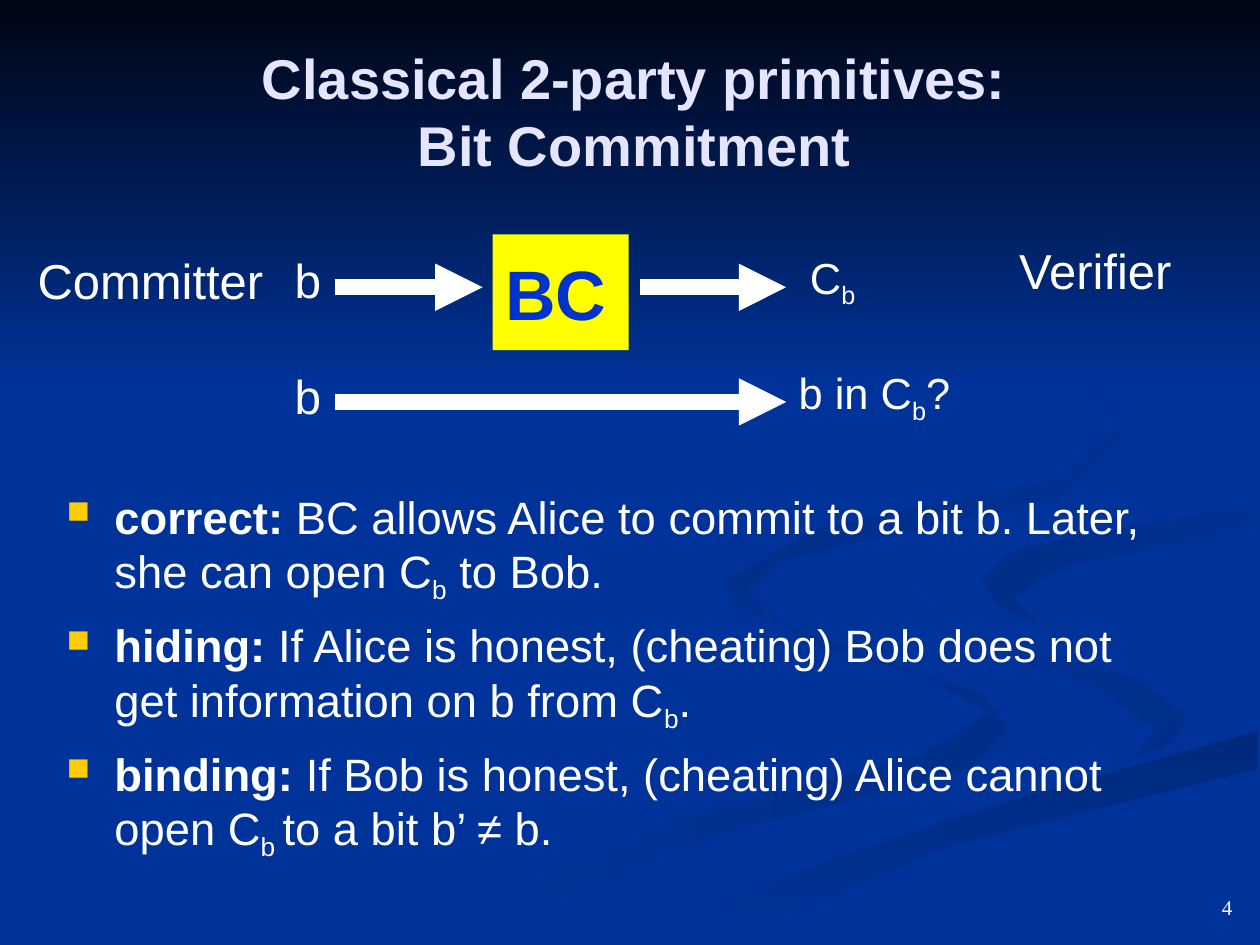
from lxml import etree
from pptx import Presentation
from pptx.dml.color import RGBColor
from pptx.enum.shapes import MSO_CONNECTOR as Connector, MSO_SHAPE as Shape
from pptx.enum.text import MSO_ANCHOR as Anchor, PP_ALIGN as Align
from pptx.oxml.ns import qn
from pptx.util import Inches, Pt

WHITE, BLUE, YELLOW = "FFFFFF", "003399", "FFFF00"

# Each swirl: start colour, end colour, clockwise angle, outline in inches
SWIRLS = [
    ("002E8A", BLUE, 180, [
        (7.8, 5.5), (6.4, 5.1), (5.75, 4.6), (5.8, 4.8), (7.3, 5.35),
        (7.85, 5.65), (7.3, 6), (5.4, 6.5), (3, 7.49), (3.6, 7.49),
        (5.6, 6.65), (7.7, 6.1), (8, 5.8)]),
    ("002E8A", BLUE, 225, [
        (9.43, 5.7), (9.05, 5.4), (7.6, 5), (7.24, 4.64), (7.45, 5),
        (8.7, 5.45), (9.18, 5.8), (8.94, 6.05), (9.3, 5.9)]),
    ("00297C", BLUE, 90, [
        (5.03, 7.49), (5.7, 7.49), (7.5, 6.72), (9.98, 6.1), (9.98, 5.8),
        (7.65, 6.47), (6.3, 6.93)]),
    (BLUE, "002C85", 225, [
        (7.8, 4.6), (7.9, 4.8), (8.26, 4.96), (8.05, 4.75), (8.4, 4.5),
        (9.98, 4.2), (9.98, 4), (8.5, 4.27), (8, 4.4)]),
    (BLUE, "002B81", 225, [
        (6.8, 4.3), (8.4, 3.96), (8.94, 3.44), (8.5, 2.8), (7.6, 2.33),
        (8.6, 2.9), (8.89, 3.35), (8.4, 3.8), (6.5, 4.2), (5.77, 4.6),
        (6.2, 5), (5.93, 4.7), (6.2, 4.45)]),
]

# Text pieces are (text, style); style is "", "bold" or "sub"
PROPERTIES = [
    [("correct:", "bold"),
     (" BC allows Alice to commit to a bit b. Later, she can open C", ""),
     ("b", "sub"), (" to Bob.", "")],
    [("hiding:", "bold"),
     (" If Alice is honest, (cheating) Bob does not get information on b from C", ""),
     ("b", "sub"), (".", "")],
    [("binding:", "bold"),
     (" If Bob is honest, (cheating) Alice cannot open C", ""),
     ("b ", "sub"), ("to a bit b’ ≠ b.", "")],
]
LABELS = [
    ((0.2, 1.94, 2.05, 0.86), 28, [("Committer", "")]),
    ((7.99, 1.86, 1.81, 0.63), 28, [("Verifier", "")]),
    ((2.24, 1.94, 0.42, 0.58), 27.2, [("b", "")]),
    ((2.24, 2.86, 0.42, 0.58), 27.2, [("b", "")]),
    ((6.33, 1.94, 0.75, 0.58), 24.8, [("C", ""), ("b", "sub")]),
    ((6.24, 2.86, 1.92, 0.58), 24.8, [("b in C", ""), ("b", "sub"), ("?", "")]),
]
ARROWS = [(2.66, 3.83, 2.28), (5.08, 6.24, 2.28), (2.66, 6.24, 3.19)]


def rgb(value):
    return RGBColor.from_string(value)


def shade(shape, start, end, angle):
    """Fill a shape with a gradient at a clockwise angle, without line or shadow."""
    shape.shadow.inherit = False
    shape.line.fill.background()
    shape.fill.gradient()
    shape.fill.gradient_angle = 360 - angle
    for stop, color in zip(shape.fill.gradient_stops, (start, end)):
        stop.color.rgb = rgb(color)


def add_swirl(page, start, end, angle, points):
    corners = [(Inches(x), Inches(y)) for x, y in points]
    builder = page.shapes.build_freeform(*corners[0])
    builder.add_line_segments(corners[1:], close=True)
    shade(builder.convert_to_shape(), start, end, angle)


def add_rectangle(page, place):
    return page.shapes.add_shape(Shape.RECTANGLE, *map(Inches, place))


def add_bullet(para):
    props = para._p.get_or_add_pPr()
    props.set("marL", str(Inches(0.38)))
    props.set("indent", str(-Inches(0.38)))
    color = etree.SubElement(props, qn("a:buClr"))
    etree.SubElement(color, qn("a:srgbClr"), val="FFCC00")
    etree.SubElement(props, qn("a:buSzPct"), val="70000")
    etree.SubElement(props, qn("a:buChar"), char="■")


def write_spans(para, pieces, size, color=WHITE, font="Arial"):
    for text, style in pieces:
        if text == "\n":
            para.add_line_break()
            continue
        span = para.add_run()
        span.text = text
        formats = {"name": font, "size": Pt(size), "bold": style == "bold"}
        for name, value in formats.items():
            setattr(span.font, name, value)
        span.font.color.rgb = rgb(color)
        if style == "sub":
            span._r.get_or_add_rPr().set("baseline", "-25000")


def add_text(page, place, paragraphs, size, anchor=Anchor.TOP, align=Align.LEFT,
             bullets=False, **look):
    box = page.shapes.add_textbox(*map(Inches, place))
    frame = box.text_frame
    frame.word_wrap = True
    frame.vertical_anchor = anchor
    for index, pieces in enumerate(paragraphs):
        para = frame.add_paragraph() if index else frame.paragraphs[0]
        if bullets:
            add_bullet(para)
        para.alignment = align
        if index:
            para.space_before = Pt(7)
        write_spans(para, pieces, size, **look)


def add_arrow(page, left, right, y):
    arrow = page.shapes.add_connector(
        Connector.STRAIGHT, Inches(left), Inches(y), Inches(right), Inches(y))
    arrow.line.color.rgb = rgb(WHITE)
    arrow.line.width = Pt(9)
    etree.SubElement(arrow.line._get_or_add_ln(), qn("a:tailEnd"), type="triangle")
    etree.SubElement(arrow._element.spPr, qn("a:effectLst"))


def add_commitment_box(page):
    box = add_rectangle(page, (3.91, 1.86, 1.08, 0.92))
    box.shadow.inherit = False
    box.fill.solid()
    box.fill.fore_color.rgb = rgb(YELLOW)
    box.line.fill.background()
    box.text_frame.vertical_anchor = Anchor.MIDDLE
    para = box.text_frame.paragraphs[0]
    para.alignment = Align.LEFT
    write_spans(para, [("BC", "bold")], 40, color="0033CC")


def main():
    deck = Presentation()
    deck.slide_width, deck.slide_height = Inches(10), Inches(7.5)
    page = deck.slides.add_slide(deck.slide_layouts[6])
    page.background.fill.solid()
    page.background.fill.fore_color.rgb = rgb(BLUE)
    for swirl in SWIRLS:
        add_swirl(page, *swirl)
    shade(add_rectangle(page, (0, 0, 10, 3.08)), "000514", BLUE, 90)
    title = [("Classical 2-party primitives:", "bold"), ("\n", ""),
             ("Bit Commitment", "bold")]
    add_text(page, (0.27, 0.44, 9.53, 0.87), [title], 32, Anchor.MIDDLE,
             Align.CENTER, color="E5E5FF")
    add_text(page, (0.43, 3.83, 9.06, 3.23), PROPERTIES, 25.9, bullets=True)
    for place, size, pieces in LABELS:
        add_text(page, place, [pieces], size)
    for arrow in ARROWS:
        add_arrow(page, *arrow)
    add_commitment_box(page)
    add_text(page, (7.55, 6.83, 2.33, 0.52), [[("4", "")]], 12, Anchor.BOTTOM,
             Align.RIGHT, font="Times New Roman")
    deck.save("out.pptx")


if __name__ == "__main__":
    main()
